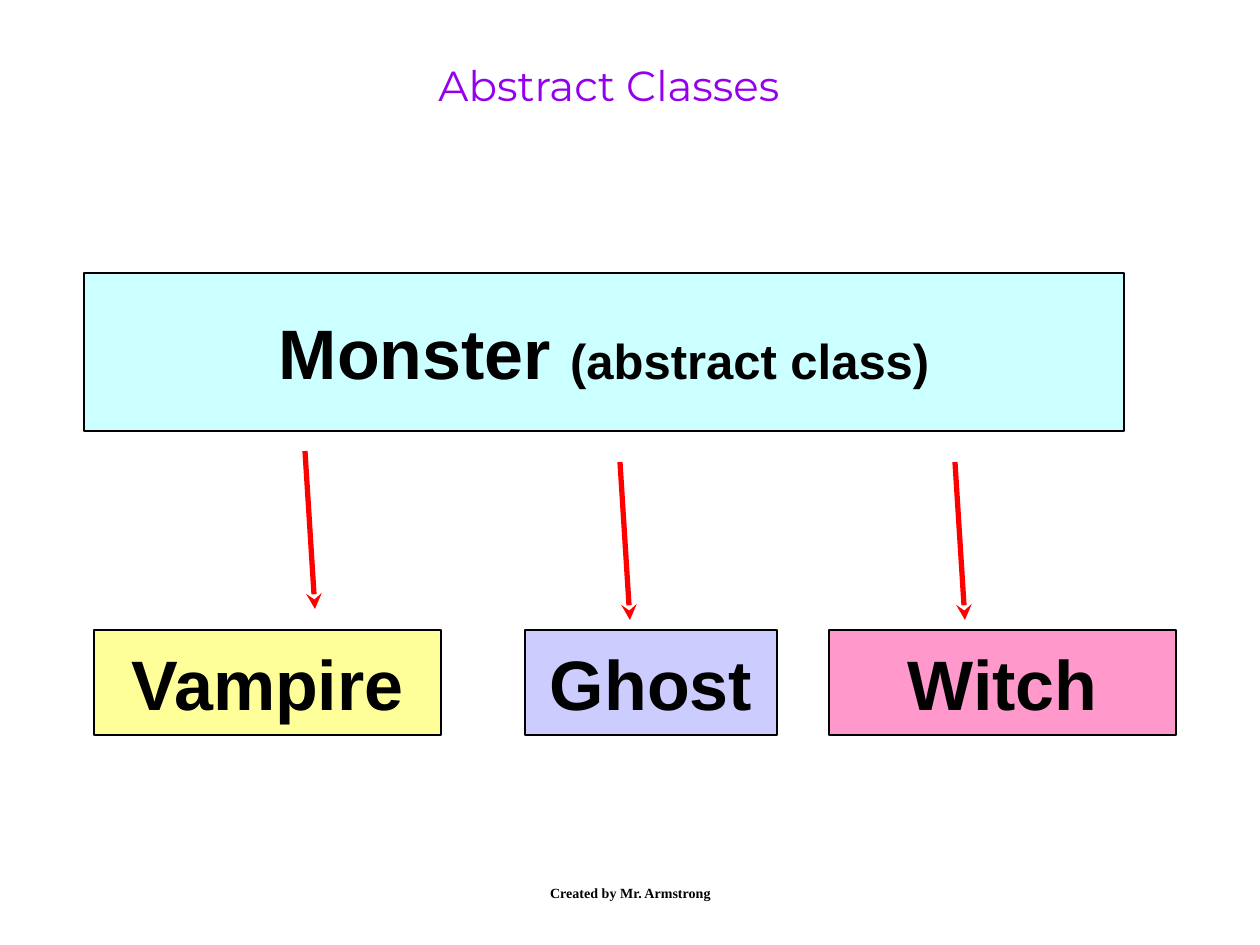
"""Build the Abstract Classes slide: a Monster class and its three subclasses."""
from lxml import etree
from pptx import Presentation
from pptx.dml.color import RGBColor
from pptx.enum.shapes import MSO_CONNECTOR as Connector, MSO_SHAPE as Preset
from pptx.enum.text import MSO_ANCHOR as Anchor, PP_ALIGN as Align
from pptx.oxml.ns import qn
from pptx.util import Pt

PX = 914400 // 126
BLACK, RED, PURPLE = "000000", "FF0000", "9400ED"

TITLE = ((179, 53, 860, 105), [("Abstract Classes", 24)])
FOOTER = ((431, 861, 399, 63), [("Created by Mr. Armstrong", 8)])
CLASSES = [
    ((84, 273, 1040, 158), "CCFFFF", [("Monster ", 40), ("(abstract class)", 28)]),
    ((94, 630, 347, 105), "FFFF99", [("Vampire", 40)]),
    ((525, 630, 252, 105), "CCCCFF", [("Ghost", 40)]),
    ((829, 630, 347, 105), "FF99CC", [("Witch", 40)]),
]
ARROW_STARTS = [(305, 451), (620, 462), (955, 462)]
ARROW_RUN, ARROW_DROP = 10, 158


def scaled(lengths):
    return [length * PX for length in lengths]


def color(value):
    return RGBColor.from_string(value)


def write(shape, runs, font, ink, bold=True, anchor=Anchor.MIDDLE, wrap=False):
    frame = shape.text_frame
    frame.word_wrap = wrap
    frame.vertical_anchor = anchor
    paragraph = frame.paragraphs[0]
    paragraph.alignment = Align.CENTER
    for text, size in runs:
        run = paragraph.add_run()
        run.text = text
        run.font.name = font
        run.font.size = Pt(size)
        run.font.bold = bold
        run.font.color.rgb = color(ink)


def add_class(slide, box, fill, runs):
    shape = slide.shapes.add_shape(Preset.RECTANGLE, *scaled(box))
    shape.shadow.inherit = False
    shape.fill.solid()
    shape.fill.fore_color.rgb = color(fill)
    shape.line.color.rgb = color(BLACK)
    shape.line.width = Pt(1)
    write(shape, runs, "Arial", BLACK)


def add_arrow(slide, left, top):
    ends = scaled((left, top, left + ARROW_RUN, top + ARROW_DROP))
    arrow = slide.shapes.add_connector(Connector.STRAIGHT, *ends)
    arrow.line.color.rgb = color(RED)
    arrow.line.width = Pt(3)
    properties = arrow.element.find(qn("p:spPr"))
    etree.SubElement(properties.find(qn("a:ln")), qn("a:tailEnd"), type="stealth")
    etree.SubElement(properties, qn("a:effectLst"))


def main():
    presentation = Presentation()
    presentation.slide_width, presentation.slide_height = scaled((1260, 945))
    slide = presentation.slides.add_slide(presentation.slide_layouts[6])

    box, runs = TITLE
    title = slide.shapes.add_textbox(*scaled(box))
    write(title, runs, "Montserrat", PURPLE, bold=False, anchor=Anchor.TOP)
    for box, fill, runs in CLASSES:
        add_class(slide, box, fill, runs)
    for left, top in ARROW_STARTS:
        add_arrow(slide, left, top)
    box, runs = FOOTER
    footer = slide.shapes.add_textbox(*scaled(box))
    write(footer, runs, "Times New Roman", BLACK, wrap=True)

    presentation.save("out.pptx")


if __name__ == "__main__":
    main()
